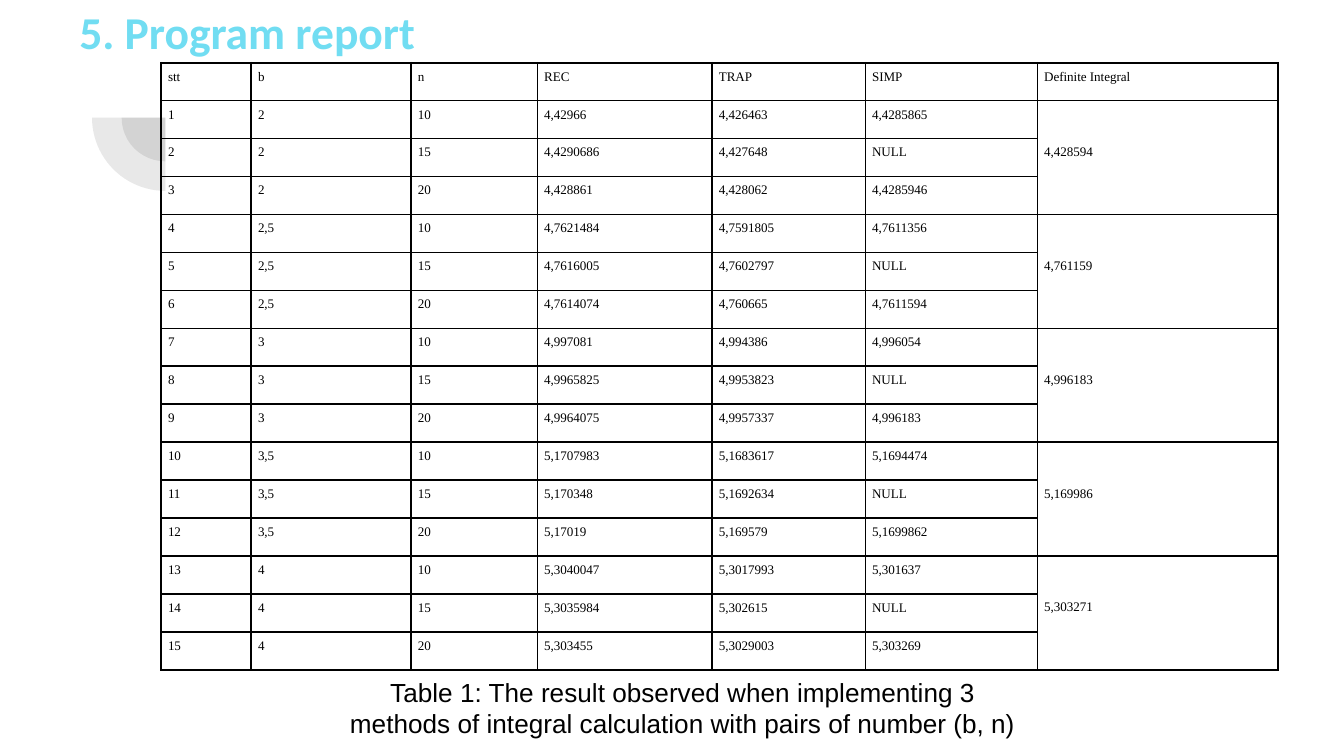
import dataclasses

import lxml.etree
import pptx
import pptx.dml.color
import pptx.enum.shapes
import pptx.enum.text
import pptx.oxml
import pptx.oxml.ns
import pptx.util


@dataclasses.dataclass(frozen=True)
class Theme:
    width: float = 10
    height: float = 5.625
    title_color: str = "71DDF2"
    ink: str = "000000"
    ornament: str = "424242"
    ornament_alpha: int = 12
    title_font: str = "Calibri"
    table_font: str = "Times New Roman"
    caption_font: str = "Arial"
    title_size: float = 24.4
    table_size: float = 7
    caption_size: float = 14
    border: float = 1
    cell_margin: float = 0.05


class ReportSlide:
    def __init__(self, deck, theme):
        self.theme = theme
        self.slide = deck.slides.add_slide(deck.slide_layouts[5])

    def x(self, percent):
        return pptx.util.Inches(self.theme.width * percent / 100)

    def y(self, percent):
        return pptx.util.Inches(self.theme.height * percent / 100)

    def style(self, paragraph, font, size, color, bold=False):
        paragraph.font.name = font
        paragraph.font.size = pptx.util.Pt(size)
        paragraph.font.bold = bold
        paragraph.font.color.rgb = pptx.dml.color.RGBColor.from_string(color)

    def title(self, text, left, top, width, height):
        heading = self.slide.shapes.title
        heading.left, heading.top = self.x(left), self.y(top)
        heading.width, heading.height = self.x(width), self.y(height)
        frame = heading.text_frame
        frame.text = text
        frame.word_wrap = True
        frame.auto_size = pptx.enum.text.MSO_AUTO_SIZE.NONE
        frame.vertical_anchor = pptx.enum.text.MSO_ANCHOR.TOP
        frame.margin_left = frame.margin_right = pptx.util.Inches(0.1)
        frame.margin_top = frame.margin_bottom = pptx.util.Inches(0.1)
        paragraph = frame.paragraphs[0]
        paragraph.alignment = pptx.enum.text.PP_ALIGN.LEFT
        self.style(paragraph, self.theme.title_font, self.theme.title_size,
                   self.theme.title_color, bold=True)

    def quarter(self, center_x, center_y, diameter):
        size = self.x(diameter)
        pie = self.slide.shapes.add_shape(
            pptx.enum.shapes.MSO_SHAPE.PIE,
            self.x(center_x) - size // 2, self.y(center_y) - size // 2, size, size)
        pie.adjustments[0], pie.adjustments[1] = 108, 162
        pie.rotation = 270
        pie.shadow.inherit = False
        pie.line.fill.background()
        pie.fill.solid()
        pie.fill.fore_color.rgb = pptx.dml.color.RGBColor.from_string(self.theme.ornament)
        color = pie.fill._xPr.find(".//" + pptx.oxml.ns.qn("a:srgbClr"))
        lxml.etree.SubElement(color, pptx.oxml.ns.qn("a:alpha"),
                              val=str(self.theme.ornament_alpha * 1000))

    def frame_cell(self, cell):
        properties = cell._tc.get_or_add_tcPr()
        for side in ("lnL", "lnR", "lnT", "lnB"):
            edge = lxml.etree.SubElement(
                properties, pptx.oxml.ns.qn("a:" + side),
                w=str(pptx.util.Pt(self.theme.border)))
            fill = lxml.etree.SubElement(edge, pptx.oxml.ns.qn("a:solidFill"))
            lxml.etree.SubElement(fill, pptx.oxml.ns.qn("a:srgbClr"), val=self.theme.ink)
        cell.fill.background()

    def write_cell(self, cell, text):
        margin = pptx.util.Inches(self.theme.cell_margin)
        cell.margin_left = cell.margin_right = margin
        cell.margin_top = cell.margin_bottom = margin
        cell.text = text
        self.style(cell.text_frame.paragraphs[0], self.theme.table_font,
                   self.theme.table_size, self.theme.ink)
        self.frame_cell(cell)

    def table(self, rows, left, top, widths, row_height, group_size):
        results = self.slide.shapes.add_table(
            len(rows), len(widths), self.x(left), self.y(top),
            self.x(sum(widths)), self.y(row_height * len(rows))).table
        results.first_row = results.horz_banding = False
        for column, width in zip(results.columns, widths):
            column.width = self.x(width)
        for index, row in enumerate(rows):
            results.rows[index].height = self.y(row_height)
            for position, text in enumerate(row):
                self.write_cell(results.cell(index, position), text)
        last = len(widths) - 1
        for start in range(1, len(rows), group_size):
            integral = results.cell(start, last)
            integral.merge(results.cell(start + group_size - 1, last))
            integral.vertical_anchor = pptx.enum.text.MSO_ANCHOR.MIDDLE
            integral.margin_bottom = pptx.util.Inches(self.theme.cell_margin + 0.08)

    def caption(self, text, left, top, width, height):
        note = self.slide.shapes.add_textbox(
            self.x(left), self.y(top), self.x(width), self.y(height))
        note.text_frame.word_wrap = True
        note.text_frame.text = text
        paragraph = note.text_frame.paragraphs[0]
        paragraph.alignment = pptx.enum.text.PP_ALIGN.CENTER
        self.style(paragraph, self.theme.caption_font, self.theme.caption_size,
                   self.theme.ink)


HEADERS = ["stt", "b", "n", "REC", "TRAP", "SIMP", "Definite Integral"]
STEPS = ["10", "15", "20"]
RESULTS = [
    ("2", "4,428594", [("4,42966", "4,426463", "4,4285865"),
                       ("4,4290686", "4,427648", "NULL"),
                       ("4,428861", "4,428062", "4,4285946")]),
    ("2,5", "4,761159", [("4,7621484", "4,7591805", "4,7611356"),
                         ("4,7616005", "4,7602797", "NULL"),
                         ("4,7614074", "4,760665", "4,7611594")]),
    ("3", "4,996183", [("4,997081", "4,994386", "4,996054"),
                       ("4,9965825", "4,9953823", "NULL"),
                       ("4,9964075", "4,9957337", "4,996183")]),
    ("3,5", "5,169986", [("5,1707983", "5,1683617", "5,1694474"),
                         ("5,170348", "5,1692634", "NULL"),
                         ("5,17019", "5,169579", "5,1699862")]),
    ("4", "5,303271", [("5,3040047", "5,3017993", "5,301637"),
                       ("5,3035984", "5,302615", "NULL"),
                       ("5,303455", "5,3029003", "5,303269")]),
]


def table_rows():
    rows = [HEADERS]
    for bound, integral, estimates in RESULTS:
        for step, values in zip(STEPS, estimates):
            shown = integral if step == STEPS[0] else ""
            rows.append([str(len(rows)), bound, step, *values, shown])
    return rows


def main():
    theme = Theme()
    deck = pptx.Presentation()
    deck.slide_width = pptx.util.Inches(theme.width)
    deck.slide_height = pptx.util.Inches(theme.height)
    report = ReportSlide(deck, theme)
    for diameter in (6.5, 10.9):
        report.quarter(12.3, 15.56, diameter)
    report.title("5. Program report", 4.9, -1.24, 66.5, 25.42)
    report.table(table_rows(), left=12, top=8.3,
                 widths=[6.7, 11.9, 9.4, 13, 11.4, 12.8, 17.9],
                 row_height=5.02, group_size=len(STEPS))
    report.caption("Table 1: The result observed when implementing 3 methods of "
                   "integral calculation with pairs of number (b, n)",
                   24.7, 88.53, 52.2, 10.13)
    deck.save("out.pptx")


if __name__ == "__main__":
    main()
